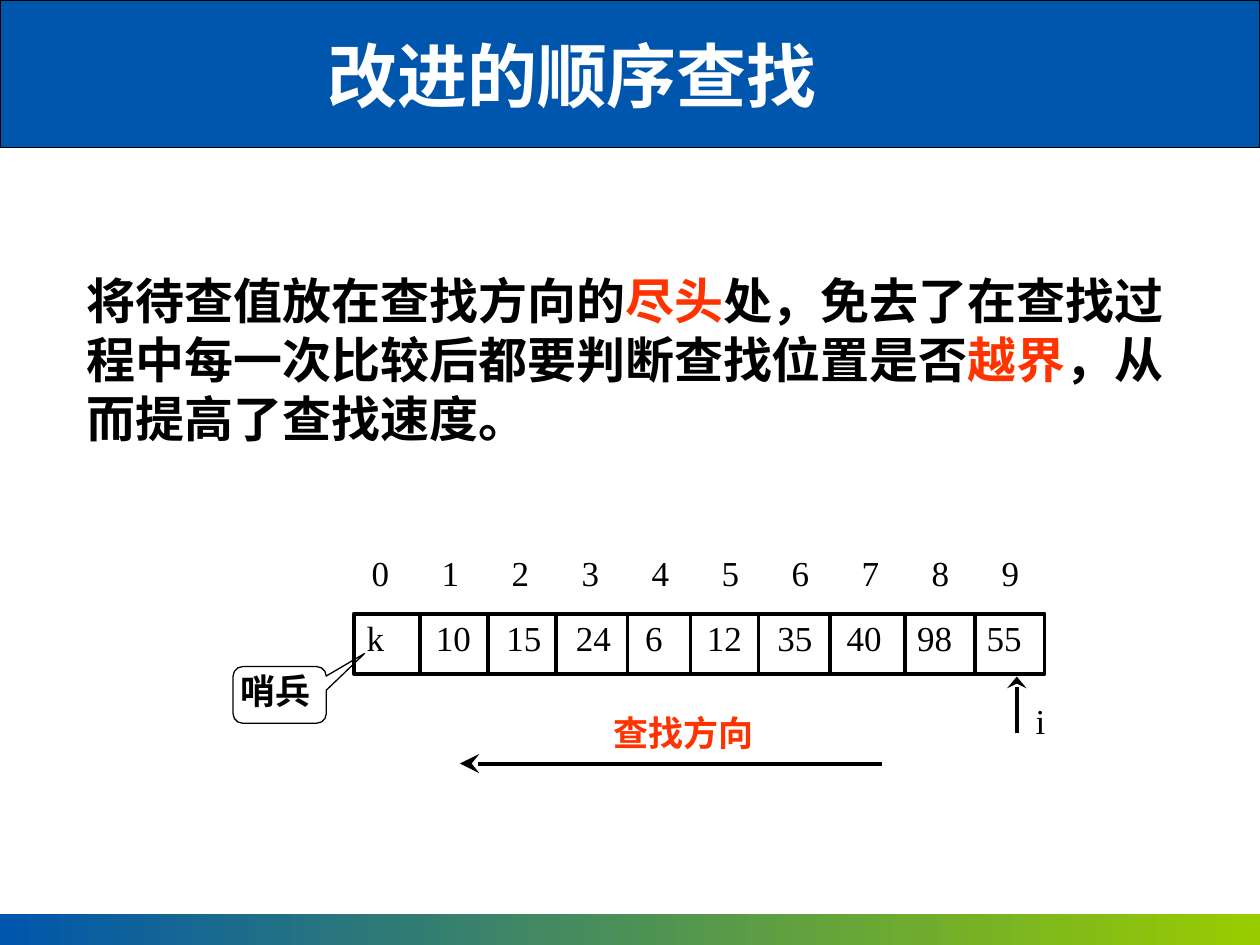
from lxml.etree import SubElement
from pptx import Presentation
from pptx.dml.color import RGBColor
from pptx.enum.shapes import MSO_CONNECTOR as Connector, MSO_SHAPE as Shape
from pptx.enum.text import MSO_ANCHOR as Anchor, MSO_AUTO_SIZE as AutoSize, PP_ALIGN as Align
from pptx.oxml.ns import qn
from pptx.util import Inches, Pt

# Content
TITLE = [("改进的顺序查找", "white")]
BODY = [
    ("将待查值放在查找方向的", "black"),
    ("尽头", "red"),
    ("处，免去了在查找过程中每一次比较后都要判断查找位置是否", "black"),
    ("越界", "red"),
    ("，从而提高了查找速度。", "black"),
]
# Each value with the left edge of its text
VALUES = [("k", 2.91), ("10", 3.46), ("15", 4.02), ("24", 4.57), ("6", 5.12),
          ("12", 5.61), ("35", 6.17), ("40", 6.72), ("98", 7.28), ("55", 7.83)]
DIVIDERS = [3.33, 3.87, 4.41, 4.98, 5.48, 6.02, 6.59, 7.18, 7.74]

# Style and layout, in inches
COLORS = {"blue": "0056AC", "green": "99CC00", "red": "FF3300",
          "black": "000000", "white": "FFFFFF"}
CJK, LATIN = "Noto Sans CJK SC", "Times New Roman"
WIDTH, HEIGHT = 10, 7.5
ARRAY_TOP, DIVIDER_BOTTOM = 4.87, 5.33
INDEX_LEFT, INDEX_TOP, INDEX_STEP = 2.95, 4.38, 5 / 9
CELL_WIDTH, CELL_HEIGHT = 0.4, 0.4

presentation = Presentation()
presentation.slide_width, presentation.slide_height = Inches(WIDTH), Inches(HEIGHT)
slide = presentation.slides.add_slide(presentation.slide_layouts[1])
shapes = slide.shapes


def color(name):
    return RGBColor.from_string(COLORS[name])


def place(shape, box):
    shape.left, shape.top, shape.width, shape.height = map(Inches, box)


def write(shape, runs, size, font=LATIN, bold=False, insets=(0, 0, 0, 0),
          align=Align.LEFT, spacing=None):
    frame = shape.text_frame
    frame.word_wrap = True
    frame.auto_size = AutoSize.NONE
    frame.vertical_anchor = Anchor.TOP
    (frame.margin_left, frame.margin_top,
     frame.margin_right, frame.margin_bottom) = map(Inches, insets)
    paragraph = frame.paragraphs[0]
    paragraph.alignment = align
    paragraph.space_before = Pt(0)
    if spacing:
        paragraph.line_spacing = Pt(spacing)
    properties = paragraph._p.get_or_add_pPr()
    properties.set("marL", "0")
    properties.set("indent", "0")
    SubElement(properties, qn("a:buNone"))
    for text, color_name in runs:
        run = paragraph.add_run()
        run.text = text
        run.font.size, run.font.bold, run.font.name = Pt(size), bold, font
        run.font.color.rgb = color(color_name)
        SubElement(run._r.get_or_add_rPr(), qn("a:ea"), typeface=CJK)


def add_shape(kind, box, line=None):
    shape = shapes.add_shape(kind, *map(Inches, box))
    shape.shadow.inherit = False
    shape.fill.background()
    if line:
        shape.line.color.rgb = color("black")
        shape.line.width = Pt(line)
    else:
        shape.line.fill.background()
    return shape


def add_line(start, end, head_length=None):
    line = shapes.add_connector(Connector.STRAIGHT, *map(Inches, start + end))
    line.line.color.rgb = color("black")
    line.line.width = Pt(2.25)
    if head_length:
        SubElement(line.line._get_or_add_ln(), qn("a:tailEnd"),
                   type="stealth", w="lg", len=head_length)
    SubElement(line._element.spPr, qn("a:effectLst"))


def add_label(box, text, color_name="black", bold=False):
    write(shapes.add_textbox(*map(Inches, box)), [(text, color_name)], 20, bold=bold)


# Header and footer bars, behind the placeholders
header = add_shape(Shape.RECTANGLE, (0, 0, WIDTH, 1.17), line=0.75)
header.fill.solid()
header.fill.fore_color.rgb = color("blue")
footer = add_shape(Shape.RECTANGLE, (0, 7.25, WIDTH, 0.25))
footer.fill.gradient()
footer.fill.gradient_angle = 0
for stop, name in zip(footer.fill.gradient_stops, ("blue", "green")):
    stop.color.rgb = color(name)
for bar in (footer, header):
    shapes._spTree.insert(2, bar._element)

# Title and body
title, body = shapes.title, slide.placeholders[1]
place(title, (1.9, 0.21, 5.28, 0.77))
write(title, TITLE, 40, CJK, True, (0.1, 0.05, 0.1, 0), Align.CENTER, 48)
place(body, (0.59, 2.1, 8.9, 1.51))
write(body, BODY, 28, CJK, True, (0.1, 0.05, 0.1, 0), spacing=33.6)

# Array with its dividers, values and indices
add_shape(Shape.RECTANGLE, (2.81, ARRAY_TOP, 5.48, 0.48), line=2.25)
for x in DIVIDERS:
    add_line((x, ARRAY_TOP), (x, DIVIDER_BOTTOM))
for index, (value, left) in enumerate(VALUES):
    add_label((left, ARRAY_TOP + 0.02, CELL_WIDTH, CELL_HEIGHT), value)
    add_label((INDEX_LEFT + index * INDEX_STEP, INDEX_TOP, CELL_WIDTH, CELL_HEIGHT), str(index))

# Pointer i and search direction
add_line((8.07, 5.82), (8.07, 5.37), head_length="med")
add_label((8.22, 5.55, 0.3, 0.45), "i")
add_label((4.87, 5.65, 1.22, 0.45), "查找方向", "red", bold=True)
add_line((7, 6.06), (3.65, 6.06), head_length="lg")

# Sentinel callout
callout = add_shape(Shape.ROUNDED_RECTANGULAR_CALLOUT, (1.85, 5.29, 0.74, 0.45), line=0.75)
for index, value in enumerate((0.91, -0.73, 0.17)):
    callout.adjustments[index] = value
write(callout, [("哨兵", "black")], 20, bold=True, insets=(0.04, 0, 0, 0))

presentation.save("out.pptx")
